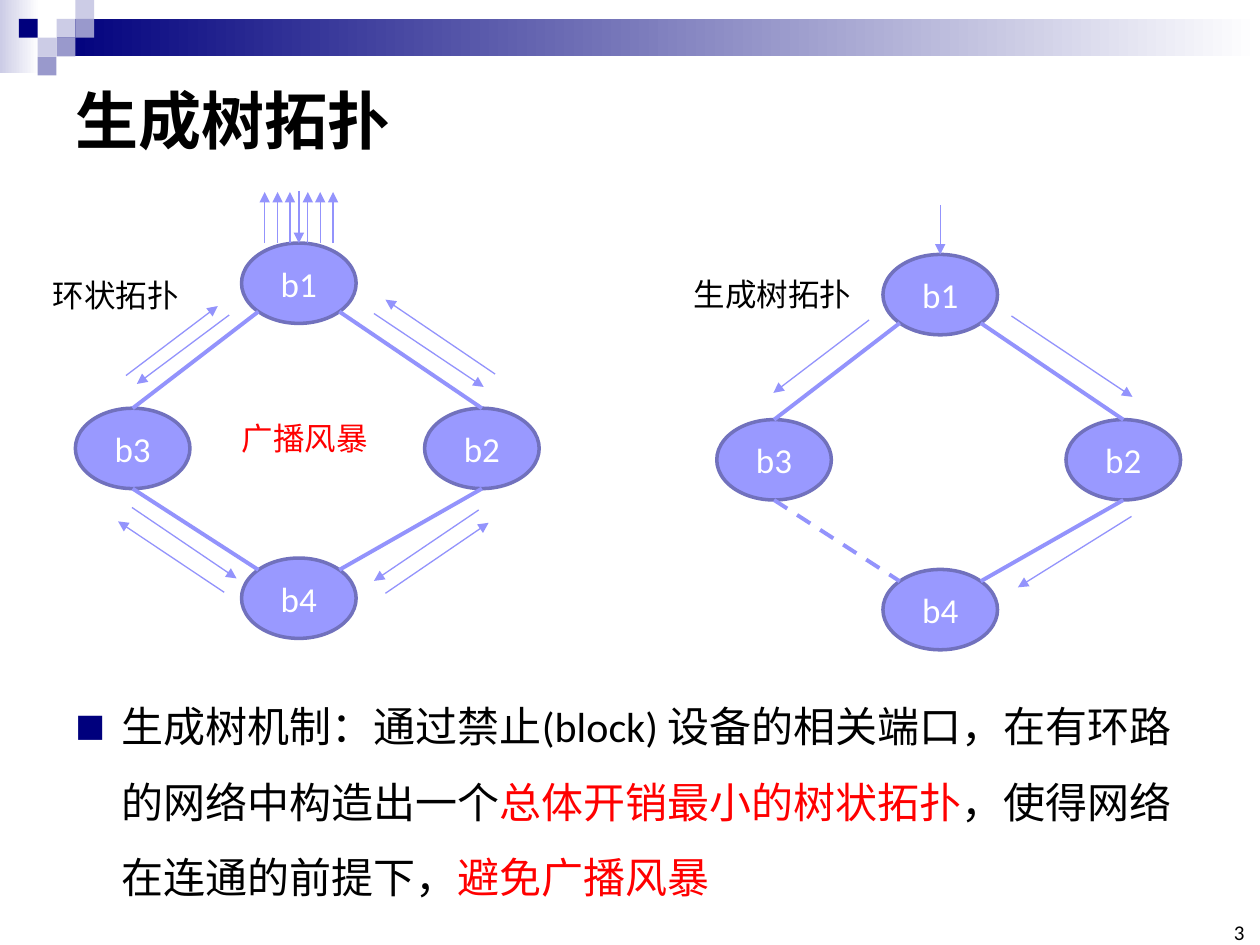
from lxml import etree
from pptx import Presentation
from pptx.dml.color import RGBColor
from pptx.enum.dml import MSO_LINE
from pptx.enum.shapes import MSO_CONNECTOR, MSO_SHAPE
from pptx.enum.text import MSO_ANCHOR, PP_ALIGN
from pptx.oxml.ns import qn
from pptx.util import Cm, Pt

RECT, OVAL = MSO_SHAPE.RECTANGLE, MSO_SHAPE.OVAL
STRAIGHT, DASH = MSO_CONNECTOR.STRAIGHT, MSO_LINE.DASH
LEFT, CENTER, RIGHT = PP_ALIGN.LEFT, PP_ALIGN.CENTER, PP_ALIGN.RIGHT
TOP, MIDDLE, BOTTOM = MSO_ANCHOR.TOP, MSO_ANCHOR.MIDDLE, MSO_ANCHOR.BOTTOM

COLORS = {
    "navy": "00007D", "lilac": "9999CC", "pale": "CCCCE6", "white": "FFFFFF",
    "black": "000000", "red": "FF0000",
    "bridge": "9999FF", "bridge_edge": "7171BD", "link": "9393FC",
}
FONT = "Calibri"
NODE_W, NODE_H = 2.31, 1.62
NODES = {"b1": (3.35, 0), "b3": (0, 3.33), "b2": (7.04, 3.33), "b4": (3.35, 6.35)}
# Upper bridge, lower bridge, side of the middle bridge as seen from b1/b4
LINKS = [("b1", "b3"), ("b1", "b2"), ("b4", "b3"), ("b4", "b2")]
ENTRY_X = NODES["b1"][0] + NODE_W / 2

# Frame arrows: x1, y1, x2, y2 in cm from the corner of the topology
RING_FLOWS = [
    (1.02, 2.67, 2.87, 1.27), (3.1, 1.45, 1.24, 2.84),
    (6.02, 1.42, 8.23, 2.9), (8.46, 2.64, 6.25, 1.14),
    (1.14, 5.33, 3.25, 6.76), (3, 7.04, 0.86, 5.61),
    (8.13, 5.38, 6.02, 6.81), (6.25, 7.06, 8.33, 5.64),
    (ENTRY_X, -1.04, ENTRY_X, 0),
] + [(ENTRY_X + dx, 0, ENTRY_X + dx, -1.03)
     for dx in (-0.69, -0.43, -0.18, 0.18, 0.43, 0.69)]
TREE_FLOWS = [
    (ENTRY_X, -1, ENTRY_X, 0), (3.07, 1.32, 1.14, 2.79),
    (5.94, 1.24, 8.38, 2.87), (8.36, 5.28, 6.07, 6.71),
]


def rgb(name):
    return RGBColor.from_string(COLORS[name])


def write(shape, text, *, size, color="black", bold=False, align=LEFT,
          anchor=TOP, wrap=True, inset=None, spacing=None, bullet=None):
    """Fill a shape with one paragraph; text is a string or (text, color) pairs."""
    frame = shape.text_frame
    frame.word_wrap = wrap
    frame.vertical_anchor = anchor
    if inset is not None:
        frame.margin_left = frame.margin_right = Cm(inset)
        frame.margin_top = frame.margin_bottom = Cm(inset)
    paragraph = frame.paragraphs[0]
    paragraph.alignment = align
    if spacing:
        paragraph.line_spacing = spacing
    if bullet:
        add_bullet(paragraph, bullet)
    for words, tint in [(text, color)] if isinstance(text, str) else text:
        run = paragraph.add_run()
        run.text = words
        run.font.name, run.font.size, run.font.bold = FONT, Pt(size), bold
        run.font.color.rgb = rgb(tint)


def add_bullet(paragraph, mark, indent=0.94):
    props = paragraph._p.get_or_add_pPr()
    props.set("marL", str(Cm(indent)))
    props.set("indent", str(-Cm(indent)))
    tint = etree.SubElement(props, qn("a:buClr"))
    etree.SubElement(tint, qn("a:srgbClr")).set("val", COLORS["navy"])
    etree.SubElement(props, qn("a:buSzPct")).set("val", "75000")
    etree.SubElement(props, qn("a:buFont")).set("typeface", FONT)
    etree.SubElement(props, qn("a:buChar")).set("char", mark)


def add_text(slide, box, text, **fmt):
    write(slide.shapes.add_textbox(*map(Cm, box)), text, **fmt)


def add_block(slide, box, fill, fade_to=None, kind=RECT, edge=None):
    block = slide.shapes.add_shape(kind, *map(Cm, box))
    block.shadow.inherit = False
    if fade_to:
        block.fill.gradient()
        block.fill.gradient_angle = 0
        for stop, tint, position in zip(block.fill.gradient_stops, (fill, fade_to), (0, 1)):
            stop.color.rgb = rgb(tint)
            stop.position = position
    else:
        block.fill.solid()
        block.fill.fore_color.rgb = rgb(fill)
    if edge:
        block.line.color.rgb = rgb(edge)
        block.line.width = Pt(2)
    else:
        block.line.fill.background()
    return block


def add_line(slide, start, end, width, arrow=False, dashed=False):
    line = slide.shapes.add_connector(STRAIGHT, *map(Cm, (*start, *end)))
    line.line.color.rgb = rgb("link")
    line.line.width = Pt(width)
    if dashed:
        line.line.dash_style = DASH
    if arrow:
        outline = line.line._get_or_add_ln()
        etree.SubElement(outline, qn("a:tailEnd")).set("type", "triangle")
    etree.SubElement(line._element.spPr, qn("a:effectLst"))


def draw_header(slide, left, top, width):
    cell = 0.38
    add_block(slide, (left, top, 0.79, 1.47), "pale", fade_to="white")
    add_block(slide, (left + 3 * cell, top + cell, width - 3 * cell, 0.76),
              "navy", fade_to="white")
    mosaic = [(3, 1, "pale"), (4, 0, "pale"), (4, 1, "lilac"), (2, 2, "pale"),
              (1, 1, "navy"), (3, 2, "lilac"), (2, 3, "lilac")]
    for column, row, tint in mosaic:
        add_block(slide, (left + column * cell, top + row * cell, cell, cell), tint)


def draw_topology(slide, left, top, caption, caption_box, flows, blocked=None):
    # Bridges
    for name, (x, y) in NODES.items():
        bridge = add_block(slide, (left + x, top + y, NODE_W, NODE_H), "bridge",
                           kind=OVAL, edge="bridge_edge")
        write(bridge, name, size=20, color="white", align=CENTER, anchor=MIDDLE)
    # Links run from the diagonal of b1 or b4 to the top or bottom of b2 or b3
    diagonal = 0.5 ** 0.5
    for inner, outer in LINKS:
        (ix, iy), (ox, oy) = NODES[inner], NODES[outer]
        across = 1 if ox > ix else -1
        down = 1 if oy > iy else -1
        start = (left + ix + NODE_W / 2 * (1 + across * diagonal),
                 top + iy + NODE_H / 2 * (1 + down * diagonal))
        end = (left + ox + NODE_W / 2, top + oy + NODE_H / 2 * (1 - down))
        add_line(slide, end, start, 2.25, dashed=(inner, outer) == blocked)
    # Frames travelling along the links
    for x1, y1, x2, y2 in flows:
        add_line(slide, (left + x1, top + y1), (left + x2, top + y2), 0.75, arrow=True)
    # Caption
    x, y, width, height = caption_box
    add_text(slide, (left + x, top + y, width, height), caption, size=18, wrap=False)


def draw_mechanism(slide, box):
    sentence = [
        ("生成树机制：通过禁止(block) 设备的相关端口，在有环路的网络中构造出一个", "black"),
        ("总体开销最小的树状拓扑", "red"),
        ("，使得网络在连通的前提下，", "black"),
        ("避免广播风暴", "red"),
    ]
    add_text(slide, box, sentence, size=24, spacing=1.5, bullet="■")


def main():
    deck = Presentation()
    deck.slide_width, deck.slide_height = Cm(25.4), Cm(19.05)
    slide = deck.slides.add_slide(deck.slide_layouts[6])

    draw_header(slide, 0, 0, 25.4)
    add_text(slide, (1.27, 1.27, 22.86, 2.26), "生成树拓扑", size=36, bold=True, anchor=MIDDLE)
    draw_mechanism(slide, (1.27, 13.49, 22.86, 4.52))
    add_text(slide, (24.51, 18.62, 0.58, 0.43), "3", size=12, align=RIGHT,
             anchor=BOTTOM, inset=0)

    draw_topology(slide, 1.52, 4.9, "环状拓扑", (-0.71, 0.53, 3.07, 1.02), RING_FLOWS)
    add_text(slide, (4.62, 8.33, 3.07, 1.02), "广播风暴", size=18, color="red", wrap=False)
    draw_topology(slide, 14.45, 5.13, "生成树拓扑", (-0.71, 0.28, 3.71, 1.02),
                  TREE_FLOWS, blocked=("b4", "b3"))

    deck.save("out.pptx")


if __name__ == "__main__":
    main()
